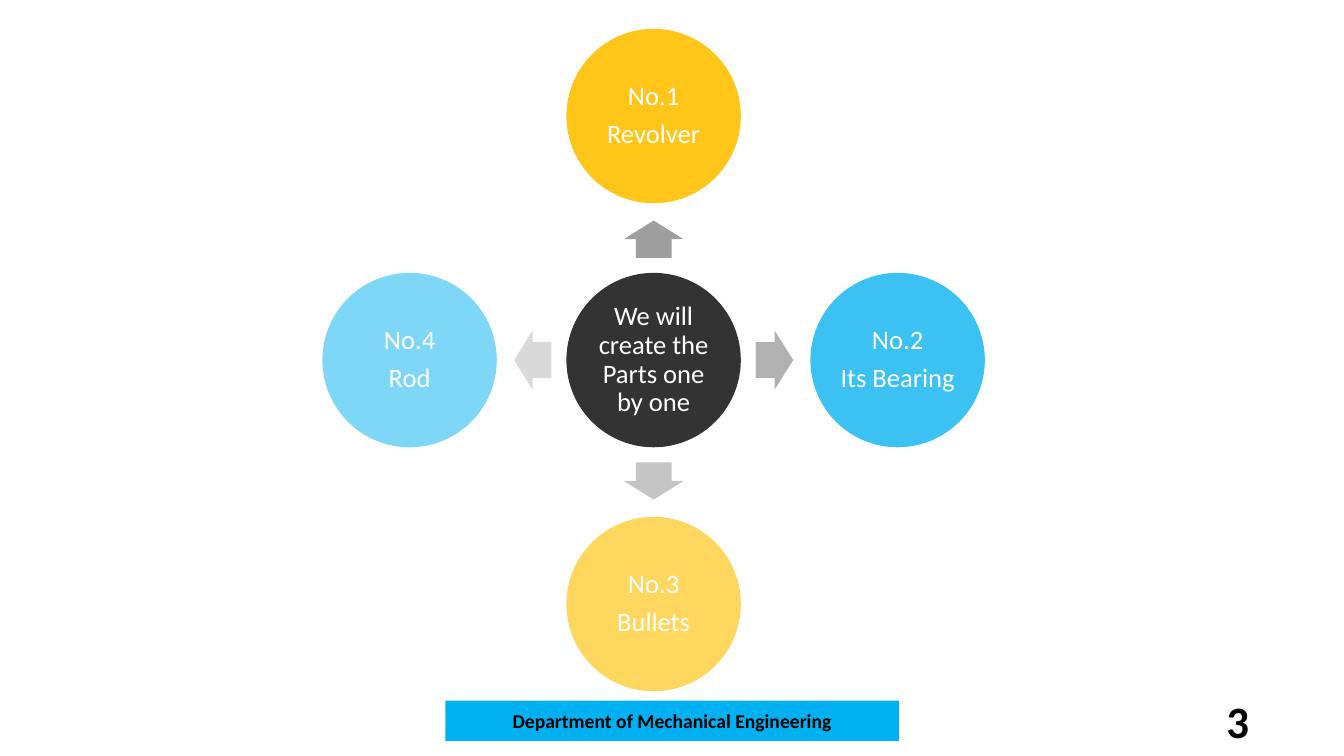
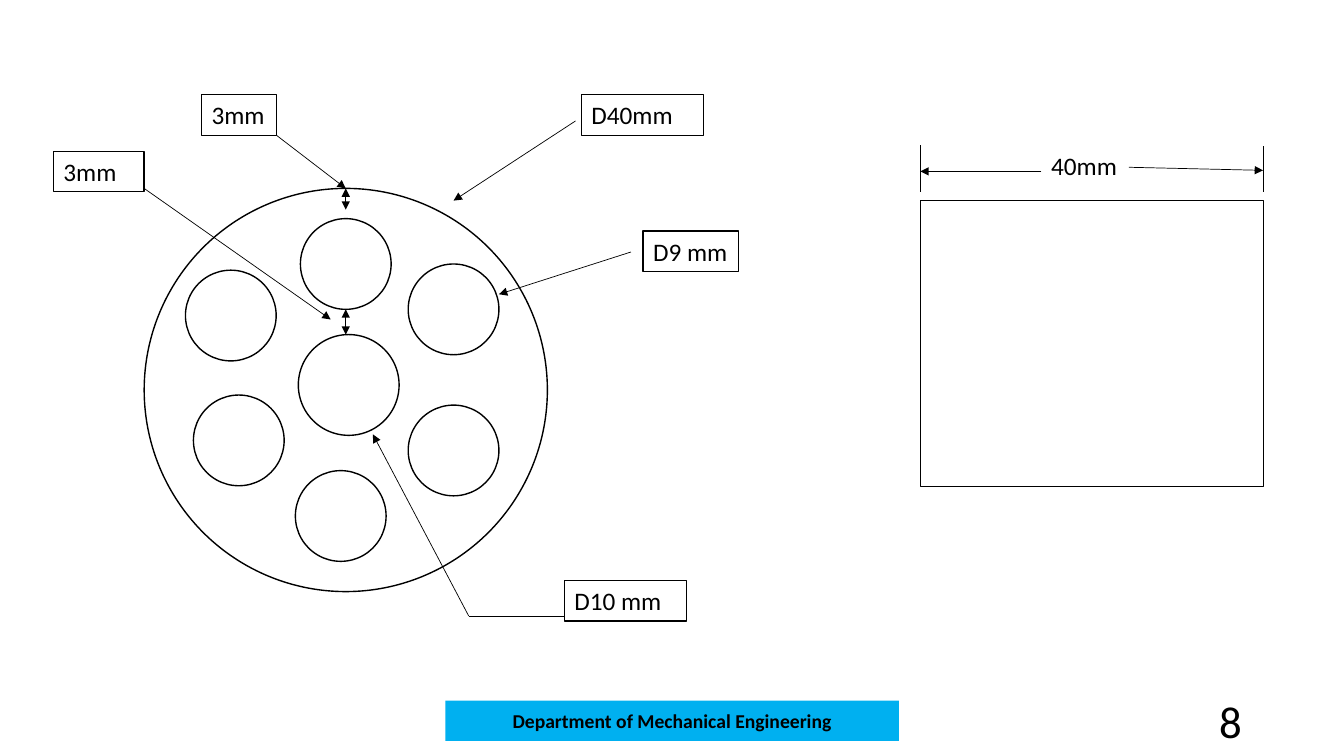
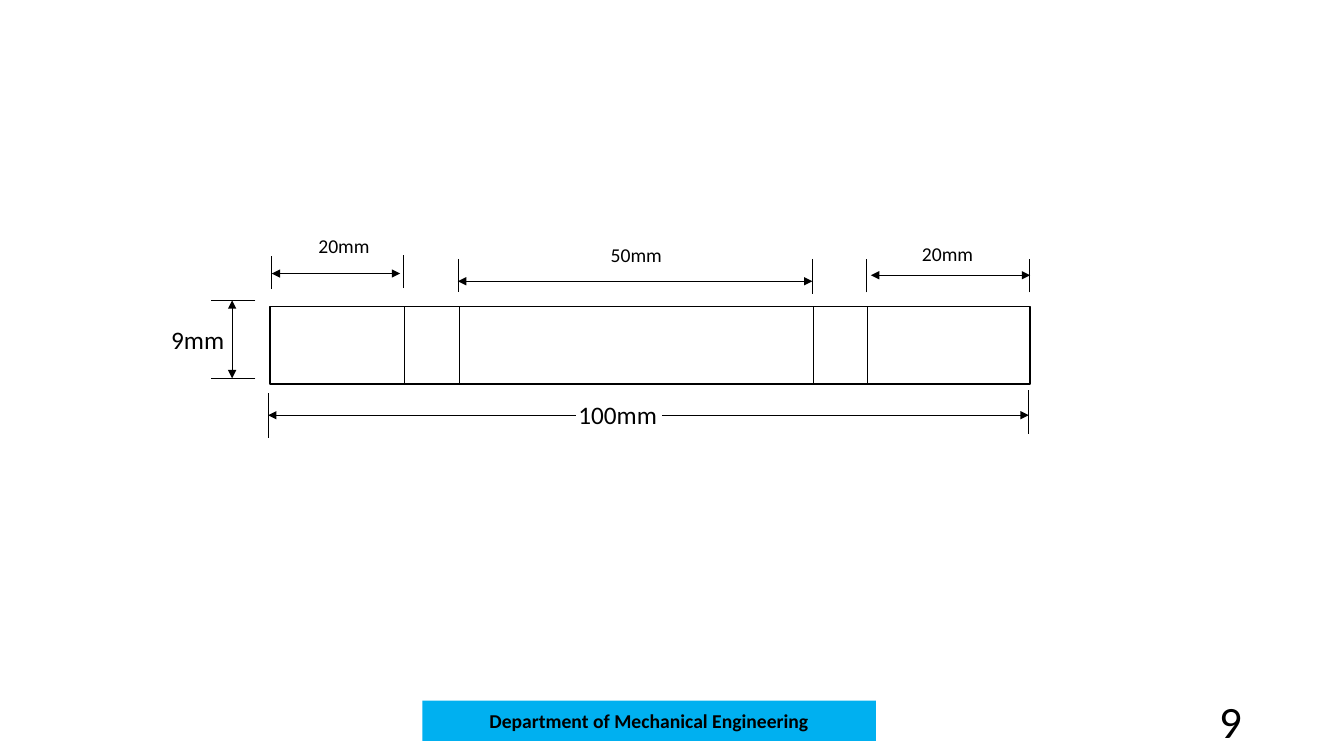
"""Build three slides on the parts of a revolver and their dimensions."""
import dataclasses

import pptx
import pptx.dml.color
import pptx.enum.shapes
import pptx.enum.text
import pptx.oxml.ns
import pptx.util
from lxml import etree

Pt = pptx.util.Pt
SHAPES = pptx.enum.shapes.MSO_SHAPE
ALIGN = pptx.enum.text.PP_ALIGN
ANCHOR = pptx.enum.text.MSO_ANCHOR
qn = pptx.oxml.ns.qn


@dataclasses.dataclass(frozen=True)
class Theme:
    font: str = "Calibri"
    black: str = "000000"
    white: str = "FFFFFF"
    gold: str = "FFC000"
    blue: str = "00B0F0"
    number_size: float = 32
    node_size: float = 19
    label_size: float = 18
    small_size: float = 14
    outline: float = 1
    thin: float = 0.5


THEME = Theme()
DEPARTMENT = "Department of Mechanical Engineering"

HUB = "We will create the Parts one by one"
HUB_CENTER, HUB_OPACITY = (466.9, 257.2), 80
NODE_DIAMETER, NODE_DISTANCE = 124.6, 174.3
ARROW_SIZE, ARROW_DISTANCE = (26.6, 42.5), 86.4
PARTS = [
    ("No.1\nRevolver", (0, -1), 270, THEME.gold, 90, "9E9E9E"),
    ("No.2\nIts Bearing", (1, 0), 0, THEME.blue, 77, "B1B1B1"),
    ("No.3\nBullets", (0, 1), 90, THEME.gold, 63, "C5C5C5"),
    ("No.4\nRod", (-1, 0), 180, THEME.blue, 50, "D9D9D9"),
]

CYLINDER_CIRCLES = [
    (247, 278.6, 288),
    (249.1, 275, 72),
    (247, 188.6, 64.8),
    (164.9, 225.4, 64.8),
    (324, 221, 64.8),
    (324, 321.8, 64.8),
    (243.4, 368.6, 64.8),
    (170.6, 314.6, 64.8),
]
CYLINDER_SIDE = (657.4, 143.3, 244.8, 203.8)
CYLINDER_LINES = [
    (411.1, 86.4, 324, 143.3, "end"),
    (247, 134.6, 247, 149.8, "both"),
    (197.3, 96.5, 247, 134.6, "end"),
    (450.7, 180, 356.4, 210.2, "end"),
    (334.8, 440, 266.4, 310.3, "end"),
    (334.8, 440, 403.2, 440, "none"),
    (247, 221, 247, 239, "both"),
    (103, 134.6, 236.2, 228.2, "end"),
    (743.8, 122.4, 657.4, 122.4, "end"),
    (806.4, 119.5, 902.2, 121.7, "end"),
    (657.4, 103.7, 657.4, 136.8, "none"),
    (902.2, 104.4, 902.2, 137.5, "none"),
]
CYLINDER_CALLOUTS = [
    ("D40mm", 415.4, 67.7, 87.1),
    ("3mm", 144, 67.7, 53.5),
    ("D9 mm", 459.4, 164.9, 68),
    ("D10 mm", 403.2, 414.7, 87.1),
    ("3mm", 38.2, 108, 64.8),
]
CYLINDER_LABELS = [("40mm", 743.8, 103.7, 62.6, THEME.label_size, ALIGN.LEFT)]

BAR = (193, 218.9, 542.9, 55.4)
BAR_DIVIDERS = [288.9, 328.3, 581, 619.4]
BAR_LINES = [
    (411.1, 296.6, 191.5, 296.6, "end"),
    (473, 296.6, 734.8, 296.6, "end"),
    (191.5, 280.8, 191.5, 313.2, "none"),
    (734.8, 278.6, 734.8, 310.3, "none"),
    (165.8, 214.6, 165.8, 270.2, "both"),
    (182.4, 214.6, 150.5, 214.6, "none"),
    (182.4, 270.2, 150.5, 270.2, "none"),
    (622.1, 196.6, 735.8, 196.6, "both"),
    (618.5, 208.8, 618.5, 185, "none"),
    (735.5, 208.8, 735.5, 185, "none"),
    (327.1, 200.9, 580.3, 200.9, "both"),
    (327.1, 185, 327.1, 208.8, "none"),
    (580.3, 185, 580.3, 210.2, "none"),
    (288.2, 205.9, 288.2, 182.2, "none"),
    (194.2, 206.6, 194.2, 182.9, "none"),
    (194.2, 195.4, 285.8, 195.4, "both"),
]
BAR_LABELS = [
    ("100mm", 406.1, 281.5, 76.3, THEME.label_size, ALIGN.LEFT),
    ("9mm", 115.2, 227.9, 56.9, THEME.label_size, ALIGN.LEFT),
    ("20mm", 645.1, 169.2, 63.4, THEME.small_size, ALIGN.CENTER),
    ("50mm", 429.1, 169.9, 59.8, THEME.small_size, ALIGN.LEFT),
    ("20mm", 220.3, 163.4, 66.2, THEME.small_size, ALIGN.LEFT),
]


def color(code):
    return pptx.dml.color.RGBColor.from_string(code)


def write(shape, text, size=THEME.label_size, ink=THEME.black, bold=False,
          align=ALIGN.LEFT, anchor=ANCHOR.TOP, spacing=None, after=None, inset=None):
    frame = shape.text_frame
    frame.word_wrap = True
    frame.vertical_anchor = anchor
    if inset is not None:
        frame.margin_left = frame.margin_right = Pt(inset)
        frame.margin_top = frame.margin_bottom = Pt(inset)
    frame.text = text
    for paragraph in frame.paragraphs:
        paragraph.alignment = align
        paragraph.line_spacing = spacing
        paragraph.space_after = after
        font = paragraph.runs[0].font
        font.name, font.size, font.bold = THEME.font, Pt(size), bold
        font.color.rgb = color(ink)


def add_box(slide, kind, left, top, width, height, fill=THEME.white,
            line=None, opacity=100):
    shape = slide.shapes.add_shape(kind, Pt(left), Pt(top), Pt(width), Pt(height))
    shape.shadow.inherit = False
    shape.fill.solid()
    shape.fill.fore_color.rgb = color(fill)
    if opacity < 100:
        tint = shape._element.spPr.find(qn("a:solidFill")).find(qn("a:srgbClr"))
        etree.SubElement(tint, qn("a:alpha")).set("val", str(opacity * 1000))
    if line:
        shape.line.color.rgb = color(THEME.black)
        shape.line.width = Pt(line)
    else:
        shape.line.fill.background()
    return shape


def add_centered(slide, kind, center, width, height, **look):
    x, y = center
    return add_box(slide, kind, x - width / 2, y - height / 2, width, height, **look)


def add_text(slide, text, left, top, width, height, **format):
    box = slide.shapes.add_textbox(Pt(left), Pt(top), Pt(width), Pt(height))
    write(box, text, **format)


def add_line(slide, x1, y1, x2, y2, heads="none"):
    connector = slide.shapes.add_connector(
        pptx.enum.shapes.MSO_CONNECTOR.STRAIGHT, Pt(x1), Pt(y1), Pt(x2), Pt(y2))
    connector.line.color.rgb = color(THEME.black)
    connector.line.width = Pt(THEME.thin)
    properties = connector._element.spPr
    ends = {"none": [], "end": ["a:tailEnd"], "both": ["a:headEnd", "a:tailEnd"]}
    for end in ends[heads]:
        etree.SubElement(properties.find(qn("a:ln")), qn(end)).set("type", "triangle")
    etree.SubElement(properties, qn("a:effectLst"))


def add_labels(slide, labels):
    for text, left, top, width, size, align in labels:
        add_text(slide, text, left, top, width, 29, size=size, align=align)


def add_slide(presentation, number, band_left=318.2, number_left=678.2, bold=False):
    slide = presentation.slides.add_slide(presentation.slide_layouts[6])
    band = add_box(slide, SHAPES.RECTANGLE, band_left, 500.4, 324, 28.8, fill=THEME.blue)
    write(band, DEPARTMENT, size=THEME.small_size, bold=True,
          align=ALIGN.CENTER, anchor=ANCHOR.MIDDLE)
    add_text(slide, number, number_left, 500.4, 216, 28.8, size=THEME.number_size,
             bold=bold, align=ALIGN.RIGHT, anchor=ANCHOR.MIDDLE)
    return slide


def add_node(slide, text, center, fill, opacity):
    node = add_centered(slide, SHAPES.OVAL, center, NODE_DIAMETER, NODE_DIAMETER,
                        fill=fill, opacity=opacity)
    write(node, text, size=THEME.node_size, ink=THEME.white, align=ALIGN.CENTER,
          anchor=ANCHOR.MIDDLE, spacing=0.9, after=Pt(6.65), inset=2.4)


def build_parts(presentation):
    slide = add_slide(presentation, "3", number_left=683.3, bold=True)
    add_node(slide, HUB, HUB_CENTER, THEME.black, HUB_OPACITY)
    for text, direction, angle, fill, opacity, gray in PARTS:
        arrow_center, node_center = (
            [start + step * distance for start, step in zip(HUB_CENTER, direction)]
            for distance in (ARROW_DISTANCE, NODE_DISTANCE))
        arrow = add_centered(slide, SHAPES.RIGHT_ARROW, arrow_center, *ARROW_SIZE, fill=gray)
        arrow.adjustments[0], arrow.adjustments[1] = 0.6, 0.5
        arrow.rotation = angle
        add_node(slide, text, node_center, fill, opacity)


def build_cylinder(presentation):
    slide = add_slide(presentation, "8")
    for x, y, diameter in CYLINDER_CIRCLES:
        add_centered(slide, SHAPES.OVAL, (x, y), diameter, diameter, line=THEME.outline)
    add_box(slide, SHAPES.RECTANGLE, *CYLINDER_SIDE, line=THEME.thin)
    for line in CYLINDER_LINES:
        add_line(slide, *line)
    for text, left, top, width in CYLINDER_CALLOUTS:
        callout = add_box(slide, SHAPES.RECTANGLE, left, top, width, 29, line=THEME.outline)
        write(callout, text)
    add_labels(slide, CYLINDER_LABELS)


def build_bar(presentation):
    slide = add_slide(presentation, "9", band_left=301.7)
    add_box(slide, SHAPES.RECTANGLE, *BAR, line=THEME.outline)
    top, height = BAR[1], BAR[3]
    for x in BAR_DIVIDERS:
        add_line(slide, x, top, x, top + height)
    for line in BAR_LINES:
        add_line(slide, *line)
    add_labels(slide, BAR_LABELS)


def main():
    presentation = pptx.Presentation()
    presentation.slide_width, presentation.slide_height = Pt(960), Pt(540)
    build_parts(presentation)
    build_cylinder(presentation)
    build_bar(presentation)
    presentation.save("out.pptx")


if __name__ == "__main__":
    main()
